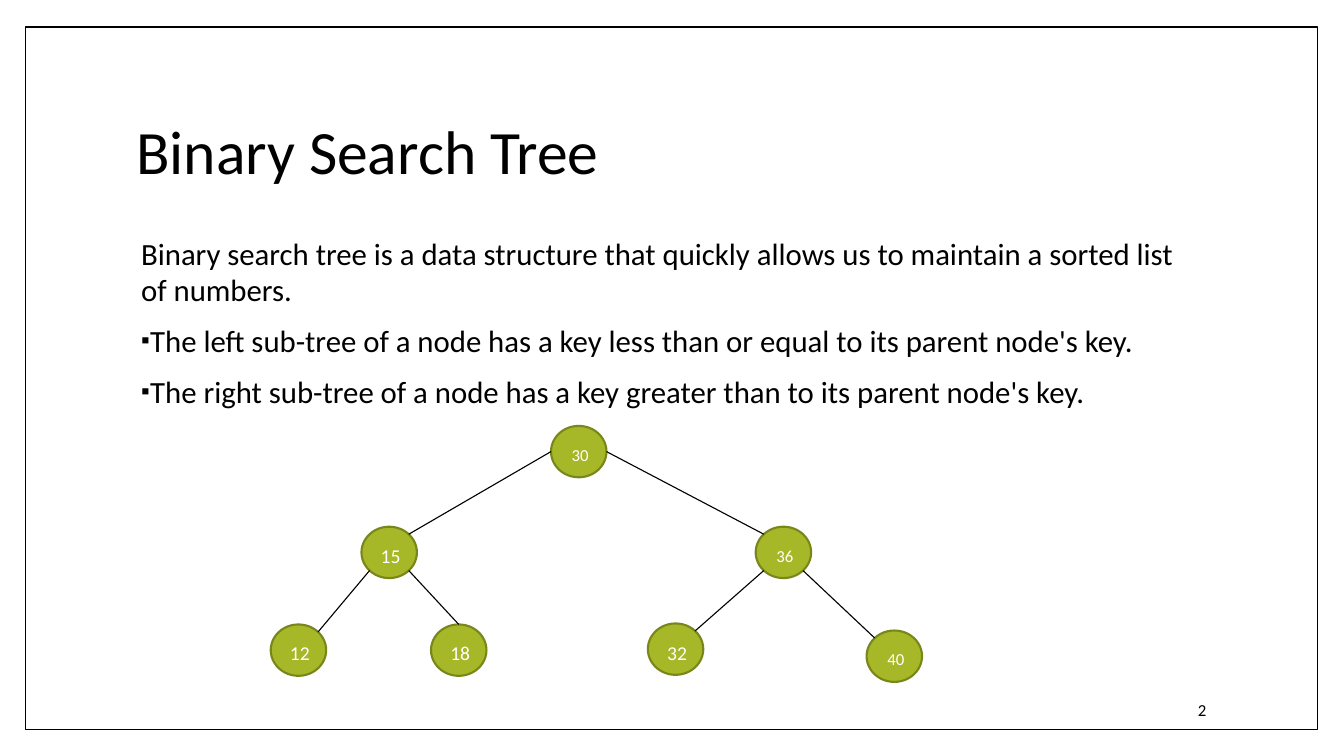
from math import sqrt
from lxml import etree
from pptx import Presentation
from pptx.dml.color import RGBColor
from pptx.enum.shapes import MSO_CONNECTOR, MSO_SHAPE
from pptx.enum.text import MSO_ANCHOR, PP_ALIGN
from pptx.oxml.ns import qn
from pptx.util import Inches, Pt

BLACK = RGBColor(0x00, 0x00, 0x00)
WHITE = RGBColor(0xFF, 0xFF, 0xFF)
GREEN = RGBColor(0xA6, 0xB7, 0x27)
DARK_GREEN = RGBColor(0x79, 0x86, 0x1A)

prs = Presentation()
prs.slide_width, prs.slide_height = Inches(13.33), Inches(7.5)
slide = prs.slides.add_slide(prs.slide_layouts[5])


def write(sp, text, size, color=BLACK, align=PP_ALIGN.LEFT, anchor=MSO_ANCHOR.TOP,
          wrap=True, left=0, top=0, spacing=None, before=0, bulleted=False):
    """Fill a shape with text; after the first line, paragraphs may be bulleted."""
    tf = sp.text_frame
    tf.word_wrap = wrap
    tf.vertical_anchor = anchor
    tf.margin_left, tf.margin_top = Inches(left), Inches(top)
    tf.margin_right = tf.margin_bottom = 0
    for i, line in enumerate(text.split("\n")):
        p = tf.paragraphs[0] if i == 0 else tf.add_paragraph()
        p.alignment = align
        if bulleted and i > 0:
            pPr = p._p.get_or_add_pPr()
            pPr.set("marL", str(Inches(0.09)))
            pPr.set("indent", str(-Inches(0.09)))
            etree.SubElement(pPr, qn("a:buSzPct"), val="80000")
            etree.SubElement(pPr, qn("a:buFont"), typeface="Arial")
            etree.SubElement(pPr, qn("a:buChar"), char="▪")
        if spacing:
            p.line_spacing = Pt(spacing)
        p.space_before = Pt(before if i > 0 else 0)
        r = p.add_run()
        r.text = line
        r.font.name, r.font.size = "Calibri", Pt(size)
        r.font.color.rgb = color


# Frame
frame = slide.shapes.add_shape(MSO_SHAPE.RECTANGLE, Inches(0.25), Inches(0.27),
                               Inches(12.82), Inches(6.97))
frame.shadow.inherit = False
frame.fill.background()
frame.line.color.rgb = BLACK
frame.line.width = Pt(1)

# Title
title = slide.shapes.title
title.left, title.top = Inches(1.35), Inches(1.12)
title.width, title.height = Inches(10.5), Inches(0.75)
write(title, "Binary Search Tree", 44)

# Definition and rules
body = slide.shapes.add_textbox(Inches(1.4), Inches(2.34), Inches(10.5), Inches(1.8))
write(body,
      "Binary search tree is a data structure that quickly allows us to maintain "
      "a sorted list of numbers.\n"
      "The left sub-tree of a node has a key less than or equal to its parent node's key.\n"
      "The right sub-tree of a node has a key greater than to its parent node's key.",
      22, spacing=25.7, before=10.5, bulleted=True)

# Slide number
number = slide.shapes.add_textbox(Inches(11.88), Inches(6.94), Inches(0.2), Inches(0.2))
write(number, "2", 12)

# Tree nodes: key -> centre x, centre y, text size
RX, RY = 0.275, 0.255
nodes = {
    "30": (5.74, 4.48, 12),
    "36": (7.77, 5.48, 12),
    "40": (8.87, 6.51, 12),
    "32": (6.7, 6.44, 14),
    "15": (3.86, 5.48, 14),
    "12": (2.96, 6.45, 14),
    "18": (4.55, 6.45, 14),
}
for key, (x, y, size) in nodes.items():
    node = slide.shapes.add_shape(MSO_SHAPE.OVAL, Inches(x - RX), Inches(y - RY),
                                  Inches(2 * RX), Inches(2 * RY))
    node.shadow.inherit = False
    node.fill.solid()
    node.fill.fore_color.rgb = GREEN
    node.line.color.rgb = DARK_GREEN
    node.line.width = Pt(1.5)
    write(node, key, size, color=WHITE, align=PP_ALIGN.CENTER,
          anchor=MSO_ANCHOR.MIDDLE, wrap=False, left=0.03, top=0.06)

# Tree edges: parent, child, and the direction of each end from its node's centre
D = 1 / sqrt(2)
edges = [
    ("30", "15", (-1, 0), (D, -D)),
    ("15", "12", (-D, D), (D, -D)),
    ("15", "18", (D, D), (0, -1)),
    ("30", "36", (1, 0), (-D, -D)),
    ("36", "32", (-D, D), (D, -D)),
    ("36", "40", (D, D), (-D, -D)),
]
for parent, child, leave, arrive in edges:
    ends = []
    for key, (dx, dy) in ((parent, leave), (child, arrive)):
        x, y, _ = nodes[key]
        ends += [Inches(x + dx * RX), Inches(y + dy * RY)]
    edge = slide.shapes.add_connector(MSO_CONNECTOR.STRAIGHT, *ends)
    edge.line.color.rgb = BLACK
    edge.line.width = Pt(0.79)
    etree.SubElement(edge._element.spPr, qn("a:effectLst"))

prs.save("out.pptx")
